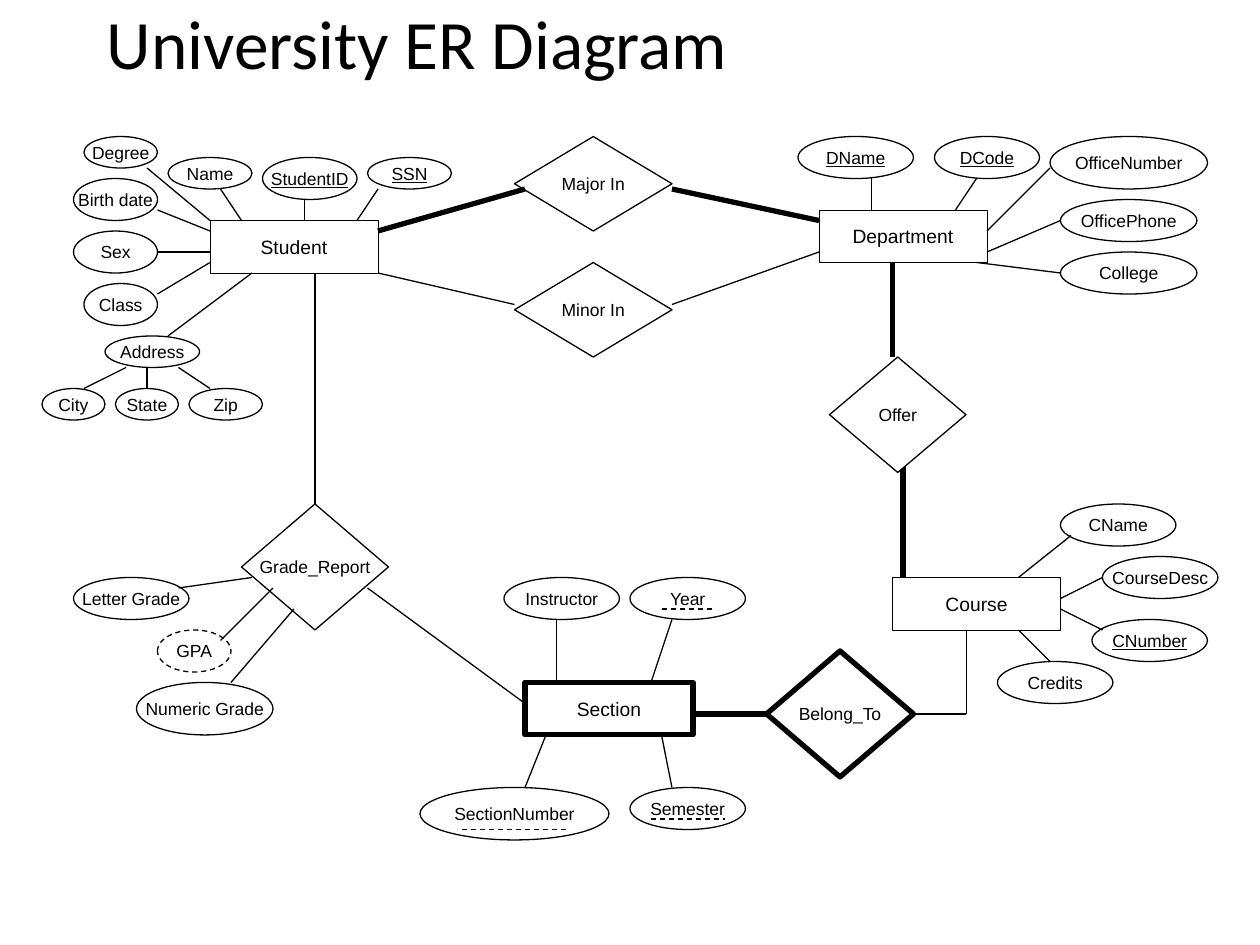
import dataclasses

import pptx
import pptx.util
import pptx.dml.color
import pptx.enum.dml
import pptx.enum.shapes
import pptx.enum.text
import pptx.oxml.ns
from lxml import etree

Pt = pptx.util.Pt
Kind = pptx.enum.shapes.MSO_SHAPE


@dataclasses.dataclass
class Theme:
    ink: str = "000000"
    paper: str = "FFFFFF"
    head: str = "Calibri"
    body: str = "Arial"
    title: float = 39.6
    entity: float = 11
    label: float = 10
    hair: float = 0.25
    thin: float = 0.75
    thick: float = 3


class Chart:
    """Draws the parts of an ER diagram on one slide."""

    def __init__(self, slide, theme):
        self.slide = slide
        self.theme = theme

    def color(self, code):
        return pptx.dml.color.RGBColor.from_string(code)

    def font(self, para, name, size, under=False):
        for run in para.runs:
            run.font.name = name
            run.font.size = Pt(size)
            run.font.color.rgb = self.color(self.theme.ink)
            if under:
                run.font.underline = True

    def stroke(self, line, width, dash=False):
        line.color.rgb = self.color(self.theme.ink)
        line.width = Pt(width)
        if dash:
            line.dash_style = pptx.enum.dml.MSO_LINE.DASH

    def title(self, text, x, y, w, h):
        box = self.slide.shapes.add_textbox(Pt(x), Pt(y), Pt(w), Pt(h))
        frame = box.text_frame
        frame.word_wrap = True
        frame.vertical_anchor = pptx.enum.text.MSO_ANCHOR.MIDDLE
        frame.text = text
        para = frame.paragraphs[0]
        para.line_spacing = 0.9
        self.font(para, self.theme.head, self.theme.title)

    def node(self, kind, text, x, y, w, h, size, width, under=False, dash=False, fill=False):
        shape = self.slide.shapes.add_shape(kind, Pt(x), Pt(y), Pt(w), Pt(h))
        shape.shadow.inherit = False
        if fill:
            shape.fill.solid()
            shape.fill.fore_color.rgb = self.color(self.theme.paper)
        else:
            shape.fill.background()
        self.stroke(shape.line, width, dash)
        frame = shape.text_frame
        frame.word_wrap = False
        frame.vertical_anchor = pptx.enum.text.MSO_ANCHOR.MIDDLE
        frame.text = text
        para = frame.paragraphs[0]
        para.alignment = pptx.enum.text.PP_ALIGN.CENTER
        self.font(para, self.theme.body, size, under)

    def entity(self, text, x, y, weak=False):
        width = self.theme.thick if weak else self.theme.hair
        self.node(Kind.RECTANGLE, text, x, y, 96, 30, self.theme.entity, width)

    def field(self, text, x, y, w, h, mark=""):
        """Attribute; mark is "key" for a key or "derived" for a computed value."""
        self.node(Kind.OVAL, text, x, y, w, h, self.theme.label, self.theme.thin,
                  under=mark == "key", dash=mark == "derived")

    def bond(self, text, x, y, w, h, weak=False, fill=False):
        """Relationship diamond."""
        width = self.theme.thick if weak else self.theme.thin
        self.node(Kind.DIAMOND, text, x, y, w, h, self.theme.label, width, fill=fill)

    def link(self, x1, y1, x2, y2, width, dash=False):
        line = self.slide.shapes.add_connector(
            pptx.enum.shapes.MSO_CONNECTOR.STRAIGHT, Pt(x1), Pt(y1), Pt(x2), Pt(y2))
        self.stroke(line.line, width, dash)
        etree.SubElement(line._element.spPr, pptx.oxml.ns.qn("a:effectLst"))


ENTITIES = [
    ("Student", 120, 126), ("Department", 468, 120),
    ("Course", 510, 330), ("Section", 300, 390, True),
]

FIELDS = [
    # Student
    ("Degree", 48, 78, 42, 18), ("Birth date", 42, 102, 48, 24),
    ("Sex", 42, 132, 48, 24), ("Class", 48, 162, 42, 24),
    ("Name", 96, 90, 48, 18), ("StudentID", 150, 90, 54, 24, "key"),
    ("SSN", 210, 90, 48, 18, "key"), ("Address", 60, 192, 54, 18),
    ("City", 24, 222, 36, 18), ("State", 66, 222, 36, 18), ("Zip", 108, 222, 42, 18),
    # Department
    ("DName", 456, 78, 66, 24, "key"), ("DCode", 534, 78, 60, 24, "key"),
    ("OfficeNumber", 600, 78, 90, 30), ("OfficePhone", 606, 114, 78, 24),
    ("College", 606, 144, 78, 24),
    # Course
    ("CName", 606, 288, 66, 24), ("CourseDesc", 630, 318, 66, 24),
    ("CNumber", 624, 354, 66, 24, "key"), ("Credits", 570, 378, 66, 24),
    # Section
    ("Instructor", 288, 330, 66, 24), ("Year", 360, 330, 66, 24),
    ("Semester", 360, 450, 66, 24), ("SectionNumber", 240, 450, 108, 30),
    # Grade report
    ("Letter Grade", 42, 330, 66, 24), ("GPA", 90, 360, 42, 24, "derived"),
    ("Numeric Grade", 78, 390, 78, 30),
]

BONDS = [
    ("Major In", 294, 78, 90, 54), ("Minor In", 294, 150, 90, 54),
    ("Grade_Report", 138, 288, 84, 72), ("Belong_To", 438, 372, 84, 72, True),
]

THIN = [
    # Student
    (48, 222, 72, 210), (84, 210, 84, 222), (102, 210, 120, 222),
    (84, 96, 120, 126), (96, 192, 144, 156), (90, 168, 120, 150),
    (90, 144, 120, 144), (90, 120, 120, 132), (126, 108, 138, 126),
    (174, 114, 174, 126), (216, 108, 204, 126),
    # Department
    (498, 120, 498, 102), (546, 120, 558, 102), (564, 132, 600, 96),
    (564, 144, 606, 126), (558, 150, 606, 156),
    # Course
    (582, 330, 612, 306), (606, 342, 630, 330), (606, 348, 630, 360),
    (582, 360, 600, 378), (522, 408, 552, 408),
    # Section
    (318, 390, 318, 354), (378, 420, 384, 450),
    (312, 420, 300, 450), (372, 390, 384, 354),
    # Grade report
    (132, 390, 168, 348), (144, 330, 102, 336), (126, 366, 156, 336),
    (210, 336, 300, 402), (180, 288, 180, 156),
    # Minor
    (216, 156, 294, 174), (384, 174, 468, 144),
]

THICK = [
    (216, 132, 300, 108), (384, 108, 468, 126),
    (396, 408, 438, 408), (516, 330, 516, 264),
]

# Partial keys of the weak entity
DASHES = [(264, 474, 324, 474), (378, 348, 408, 348), (372, 468, 414, 468)]


def main():
    deck = pptx.Presentation()
    deck.slide_width, deck.slide_height = Pt(720), Pt(540)
    theme = Theme()
    chart = Chart(deck.slides.add_slide(deck.slide_layouts[6]), theme)

    chart.title("University ER Diagram", 54, 0, 612, 54)
    for item in ENTITIES:
        chart.entity(*item)
    for item in FIELDS:
        chart.field(*item)
    for ends in THIN:
        chart.link(*ends, theme.thin)
    for ends in DASHES:
        chart.link(*ends, theme.thin, dash=True)
    for item in BONDS:
        chart.bond(*item)
    for ends in THICK:
        chart.link(*ends, theme.thick)
    chart.link(552, 360, 552, 408, theme.hair)
    chart.bond("Offer", 474, 204, 78, 66, fill=True)
    chart.link(510, 204, 510, 150, theme.thick)

    deck.save("out.pptx")


if __name__ == "__main__":
    main()
